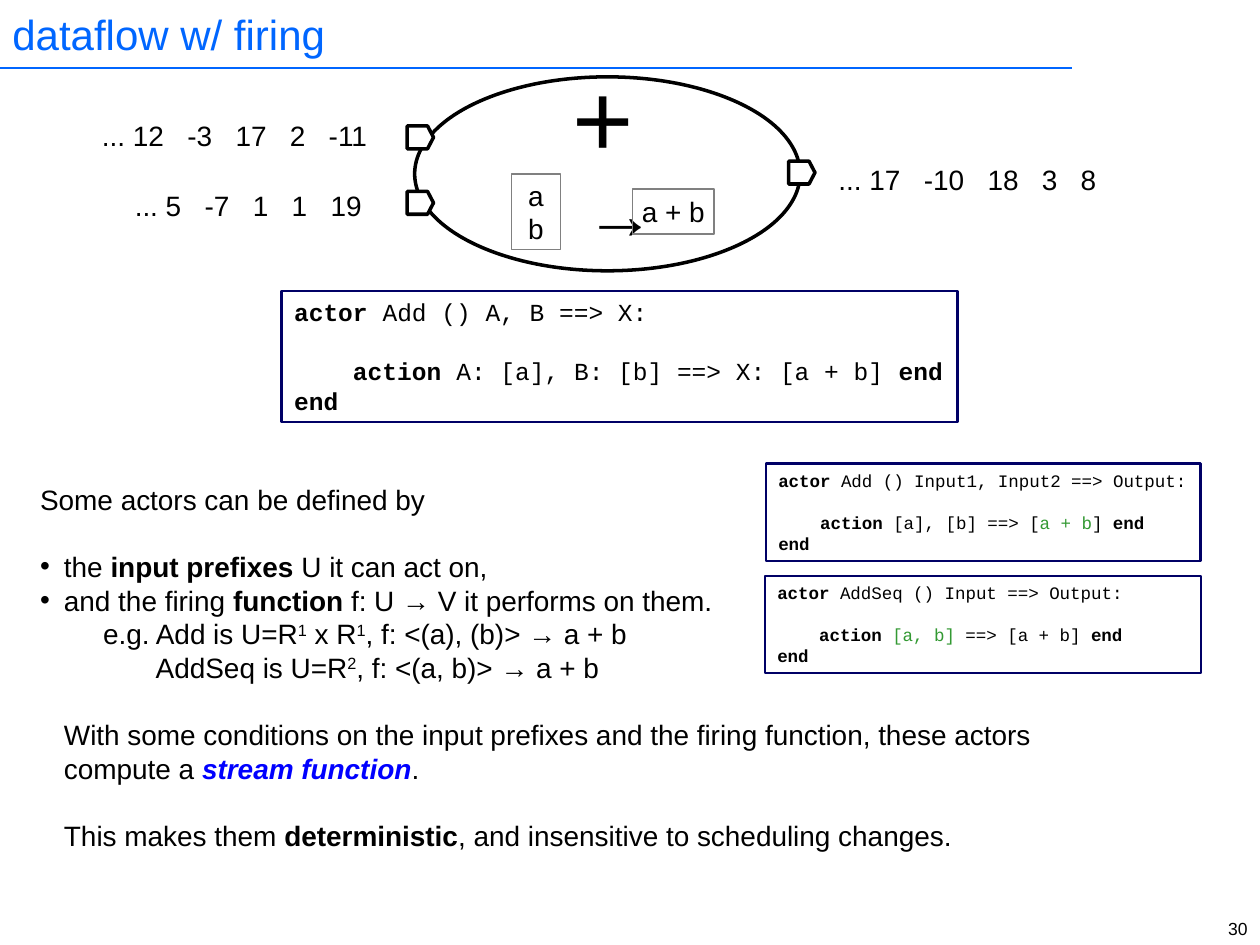
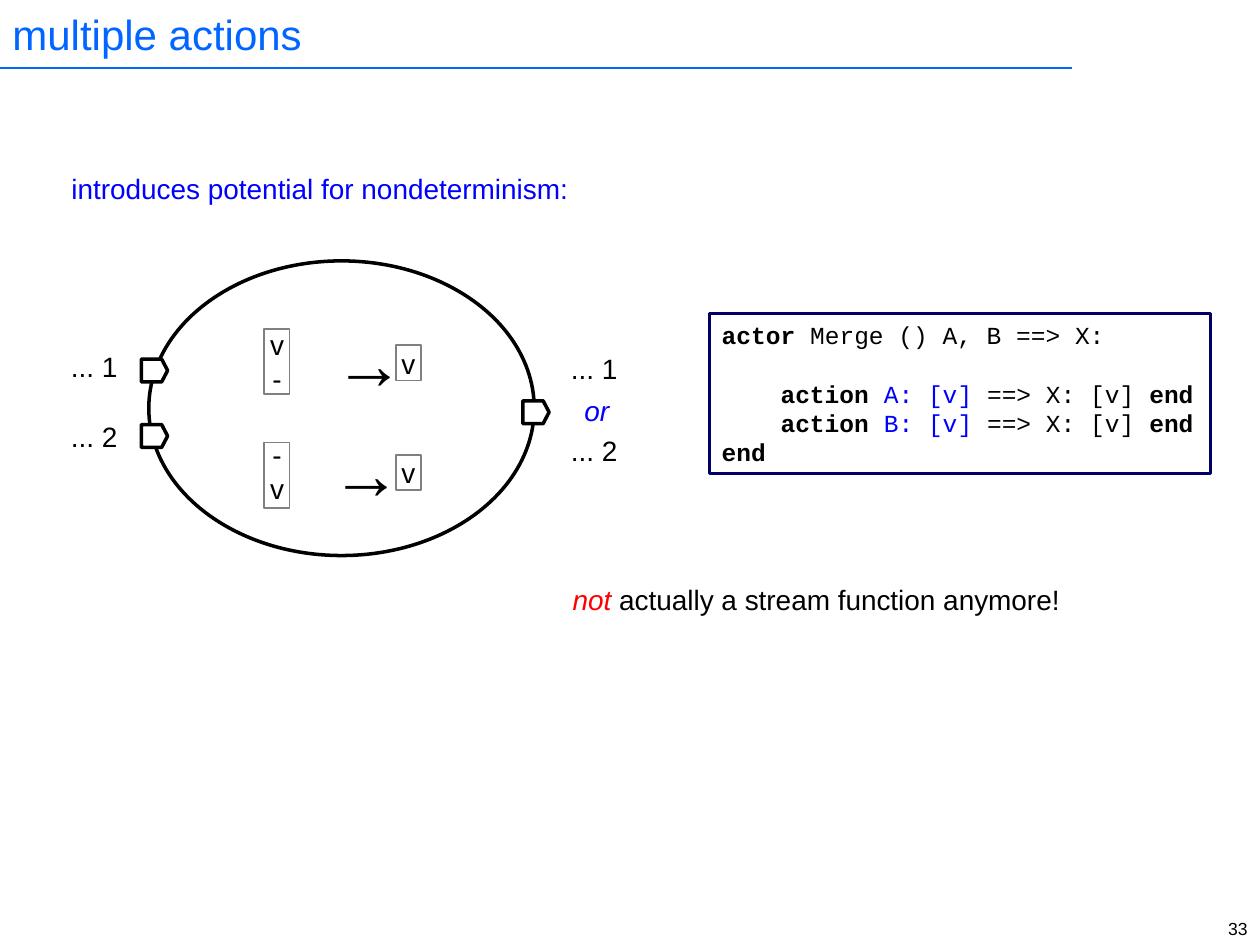
from dataclasses import dataclass
from typing import NamedTuple

from lxml import etree
from pptx import Presentation
from pptx.dml.color import RGBColor
from pptx.enum.shapes import MSO_CONNECTOR, MSO_SHAPE
from pptx.enum.text import MSO_ANCHOR, MSO_AUTO_SIZE, PP_ALIGN
from pptx.oxml.ns import qn
from pptx.util import Cm, Pt

LEFT, CENTER, RIGHT = PP_ALIGN.LEFT, PP_ALIGN.CENTER, PP_ALIGN.RIGHT
TOP, MIDDLE = MSO_ANCHOR.TOP, MSO_ANCHOR.MIDDLE
NO_FIT, FIT_SHAPE = MSO_AUTO_SIZE.NONE, MSO_AUTO_SIZE.SHAPE_TO_FIT_TEXT
RECT, ELLIPSE = MSO_SHAPE.RECTANGLE, MSO_SHAPE.OVAL
STRAIGHT = MSO_CONNECTOR.STRAIGHT

SANS, MONO = "Arial", "Courier New"
BLACK, WHITE, GRAY, NAVY = "000000", "FFFFFF", "808080", "000066"
TITLE_BLUE, BLUE, GREEN, RED = "0066FF", "0000FF", "339933", "FF0000"
BODY_SIZE, LINE_H, LEADING = 16, 0.94, 1.2
TOKEN_TRACKING = 8.9
PORT_W, PORT_H, PORT_SHOULDER = 0.53, 0.46, 0.41
ACTOR_W, INPUT_DX, OUTPUT_DX = 7.77, -0.15, 7.54


class Run(NamedTuple):
    text: str
    bold: bool = False
    italic: bool = False
    color: str = ""
    superscript: bool = False
    tracking: float = 0


@dataclass
class Para:
    runs: list[Run]
    gap: bool = False
    margin: float = 0
    bullet: bool = False


@dataclass
class Label:
    left: float
    top: float
    width: float
    runs: list[Run]
    height: float = LINE_H
    size: float = BODY_SIZE
    align: PP_ALIGN = RIGHT


@dataclass
class Guard:
    left: float
    top: float
    width: float
    height: float
    lines: list[str]
    lift: float = 0


@dataclass
class Code:
    left: float
    top: float
    width: float
    height: float
    size: float
    paras: list[Para]
    wrap: bool = False


@dataclass
class Actor:
    left: float
    top: float
    height: float
    inputs: list[float]
    output: float


def rgb(color: str) -> RGBColor:
    return RGBColor.from_string(color)


def bold(text: str) -> Run:
    return Run(text, bold=True)


def sup(text: str) -> Run:
    return Run(text, superscript=True)


def stream(*tokens: str) -> list[Run]:
    runs = [Run(tokens[0])]
    for token in tokens[1:]:
        runs += [Run(" ", tracking=TOKEN_TRACKING), Run(token)]
    return runs


def style(s, line: str, width: float, fill: str = "") -> None:
    s.shadow.inherit = False
    s.line.color.rgb = rgb(line)
    s.line.width = Pt(width)
    if fill:
        s.fill.solid()
        s.fill.fore_color.rgb = rgb(fill)
    else:
        s.fill.background()


def setup_frame(tf, wrap: bool = False, anchor: MSO_ANCHOR = TOP,
                fit: MSO_AUTO_SIZE = FIT_SHAPE) -> None:
    tf.word_wrap = wrap
    tf.vertical_anchor = anchor
    tf.auto_size = fit


def write(tf, paras: list[Para], size: float = BODY_SIZE, font: str = SANS,
          color: str = BLACK, align: PP_ALIGN = LEFT) -> None:
    for i, para in enumerate(paras):
        p = tf.add_paragraph() if i else tf.paragraphs[0]
        p.alignment = align
        if para.gap:
            p.space_before = Pt(size * LEADING)
        pPr = p._p.get_or_add_pPr()
        pPr.set("marL", str(Cm(para.margin)))
        pPr.set("indent", str(-Cm(para.margin) if para.bullet else 0))
        if para.bullet:
            etree.SubElement(pPr, qn("a:buFont"), typeface=SANS)
            etree.SubElement(pPr, qn("a:buChar"), char="•")
        for run in para.runs:
            r = p.add_run()
            r.text = run.text
            r.font.name, r.font.size = font, Pt(size)
            r.font.bold, r.font.italic = run.bold, run.italic
            r.font.color.rgb = rgb(run.color or color)
            rPr = r._r.get_or_add_rPr()
            if run.superscript:
                rPr.set("baseline", "30000")
            if run.tracking:
                rPr.set("spc", str(round(run.tracking * 100)))


def add_label(slide, label: Label) -> None:
    s = slide.shapes.add_textbox(Cm(label.left), Cm(label.top), Cm(label.width), Cm(label.height))
    setup_frame(s.text_frame)
    write(s.text_frame, [Para(label.runs)], label.size, align=label.align)


def add_guard(slide, guard: Guard) -> None:
    s = slide.shapes.add_shape(RECT, Cm(guard.left), Cm(guard.top), Cm(guard.width), Cm(guard.height))
    style(s, GRAY, 1)
    tf = s.text_frame
    setup_frame(tf, anchor=MIDDLE, fit=NO_FIT)
    tf.margin_left = tf.margin_right = tf.margin_top = 0
    tf.margin_bottom = Cm(2 * guard.lift)
    write(tf, [Para([Run(line)]) for line in guard.lines], align=CENTER)


def add_code(slide, code: Code) -> None:
    s = slide.shapes.add_shape(RECT, Cm(code.left), Cm(code.top), Cm(code.width), Cm(code.height))
    style(s, NAVY, 1.5, WHITE)
    setup_frame(s.text_frame, wrap=code.wrap)
    write(s.text_frame, code.paras, code.size, MONO)


def add_port(slide, left: float, top: float) -> None:
    outline = [(PORT_SHOULDER, 0), (PORT_W, PORT_H / 2), (PORT_SHOULDER, PORT_H), (0, PORT_H)]
    fb = slide.shapes.build_freeform(Cm(left), Cm(top))
    fb.add_line_segments([(Cm(left + x), Cm(top + y)) for x, y in outline])
    style(fb.convert_to_shape(), BLACK, 2, WHITE)


def add_actor(slide, actor: Actor) -> None:
    s = slide.shapes.add_shape(ELLIPSE, Cm(actor.left), Cm(actor.top), Cm(ACTOR_W), Cm(actor.height))
    style(s, BLACK, 2, WHITE)
    add_port(slide, actor.left + OUTPUT_DX, actor.output)
    for top in actor.inputs:
        add_port(slide, actor.left + INPUT_DX, top)


def arrow(left: float, top: float) -> Label:
    return Label(left, top, 1.02, [Run("→")], height=1.96, size=40)


def add_slide(prs, title: str, number: int):
    slide = prs.slides.add_slide(prs.slide_layouts[6])
    rule = slide.shapes.add_connector(STRAIGHT, 0, Cm(1.37), Cm(21.62), Cm(1.37))
    rule.line.color.rgb = rgb(TITLE_BLUE)
    rule.line.width = Pt(1)
    etree.SubElement(rule._element.spPr, qn("a:effectLst"))
    s = slide.shapes.add_textbox(0, 0, Cm(21.97), Cm(1.35))
    setup_frame(s.text_frame, True, MIDDLE, NO_FIT)
    write(s.text_frame, [Para([Run(title)])], 24, color=TITLE_BLUE)
    s = slide.shapes.add_textbox(Cm(23.04), Cm(18.39), Cm(2.36), Cm(0.58))
    setup_frame(s.text_frame, True, fit=NO_FIT)
    write(s.text_frame, [Para([Run(str(number))])], 10, align=RIGHT)
    return slide


def code_paras(header: str, *actions: list[Run]) -> list[Para]:
    body = [Para([bold("    action "), *runs, bold("end")], gap=i == 0)
            for i, runs in enumerate(actions)]
    return [Para([bold("actor "), Run(header)]), *body, Para([bold("end")])]


def build_firing(prs) -> None:
    slide = add_slide(prs, "dataflow w/ firing", 30)
    add_code(slide, Code(5.68, 5.87, 13.62, 2.64, 14, code_paras(
        "Add () A, B ==> X:", [Run("A: [a], B: [b] ==> X: [a + b] ")])))
    add_actor(slide, Actor(8.36, 1.55, 3.91, [2.54, 3.86], 3.25))
    for label in (
        Label(11.3, 0.94, 1.73, [Run("+")], height=2.79, size=60),
        arrow(11.56, 3.3),
        Label(1.65, 2.26, 6, stream("... 12", "-3", "17", "2", "-11")),
        Label(2.36, 3.68, 5.18, stream("... 5", "-7", "1", "1", "19")),
        Label(16.56, 3.15, 5.79, stream("... 17", "-10", "18", "3", "8")),
    ):
        add_label(slide, label)
    add_guard(slide, Guard(10.31, 3.51, 0.99, 1.52, ["a", "b"]))
    add_guard(slide, Guard(12.75, 3.81, 1.65, 0.91, ["a + b"]))

    s = slide.shapes.add_textbox(Cm(0.56), Cm(9.6), Cm(21.23), Cm(7.7))
    setup_frame(s.text_frame, wrap=True)
    write(s.text_frame, [
        Para([Run("Some actors can be defined by")]),
        Para([Run("the "), bold("input prefixes"), Run(" U it can act on,")],
             gap=True, margin=0.48, bullet=True),
        Para([Run("and the firing "), bold("function"),
              Run(" f: U → V it performs on them.")], margin=0.48, bullet=True),
        Para([Run("e.g. Add is U=R"), sup("1"), Run(" x R"), sup("1"),
              Run(", f: <(a), (b)> → a + b")], margin=1.27),
        Para([Run("AddSeq is U=R"), sup("2"), Run(", f: <(a, b)> → a + b")], margin=2.33),
        Para([Run("With some conditions on the input prefixes and the firing function, "
                  "these actors compute a "),
              Run("stream function", True, True, BLUE), Run(".")], gap=True, margin=0.48),
        Para([Run("This makes them "), bold("deterministic"),
              Run(", and insensitive to scheduling changes.")], gap=True, margin=0.48),
    ])

    add_code(slide, Code(15.44, 9.35, 8.76, 1.96, 10, code_paras(
        "Add () Input1, Input2 ==> Output:",
        [Run("[a], [b] ==> ["), Run("a + b", color=GREEN), Run("] ")])))
    add_code(slide, Code(15.42, 11.61, 8.79, 1.96, 10, code_paras(
        "AddSeq () Input ==> Output:",
        [Run("[a, b]", color=GREEN), Run(" ==> [a + b] ")]), wrap=True))


def build_multiple_actions(prs) -> None:
    slide = add_slide(prs, "multiple actions", 33)
    add_actor(slide, Actor(3, 5.26, 5.94, [7.24, 8.56], 8.08))
    for guard in (
        Guard(5.33, 6.63, 0.51, 1.32, ["v", "-"]),
        Guard(5.33, 8.92, 0.51, 1.32, ["-", "v"], lift=0.08),
        Guard(7.98, 6.96, 0.51, 0.71, ["v"]),
        Guard(7.98, 9.17, 0.51, 0.71, ["v"]),
    ):
        add_guard(slide, guard)
    for label in (
        Label(1.19, 3.33, 10.52, [Run("introduces potential for nondeterminism:", color=BLUE)],
              align=LEFT),
        arrow(6.5, 6.32),
        arrow(6.43, 8.53),
        Label(1.17, 6.93, 1.45, [Run("... 1")]),
        Label(1.17, 8.33, 1.45, [Run("... 2")]),
        Label(11.25, 6.96, 1.45, [Run("... 1")]),
        Label(11.43, 7.8, 1.1, [Run("or", italic=True, color=BLUE)]),
        Label(11.25, 8.61, 1.45, [Run("... 2")]),
        Label(11.28, 11.61, 10.34, [Run("not", italic=True, color=RED),
                                    Run(" actually a stream function anymore!")]),
    ):
        add_label(slide, label)
    actions = [[Run(f"{port}: [v]", color=BLUE), Run(" ==> X: [v] ")] for port in "AB"]
    add_code(slide, Code(14.3, 6.32, 10.1, 3.23, 14, code_paras("Merge () A, B ==> X:", *actions)))


def main() -> None:
    prs = Presentation()
    prs.slide_width, prs.slide_height = Cm(25.4), Cm(19.05)
    build_firing(prs)
    build_multiple_actions(prs)
    prs.save("out.pptx")


if __name__ == "__main__":
    main()
